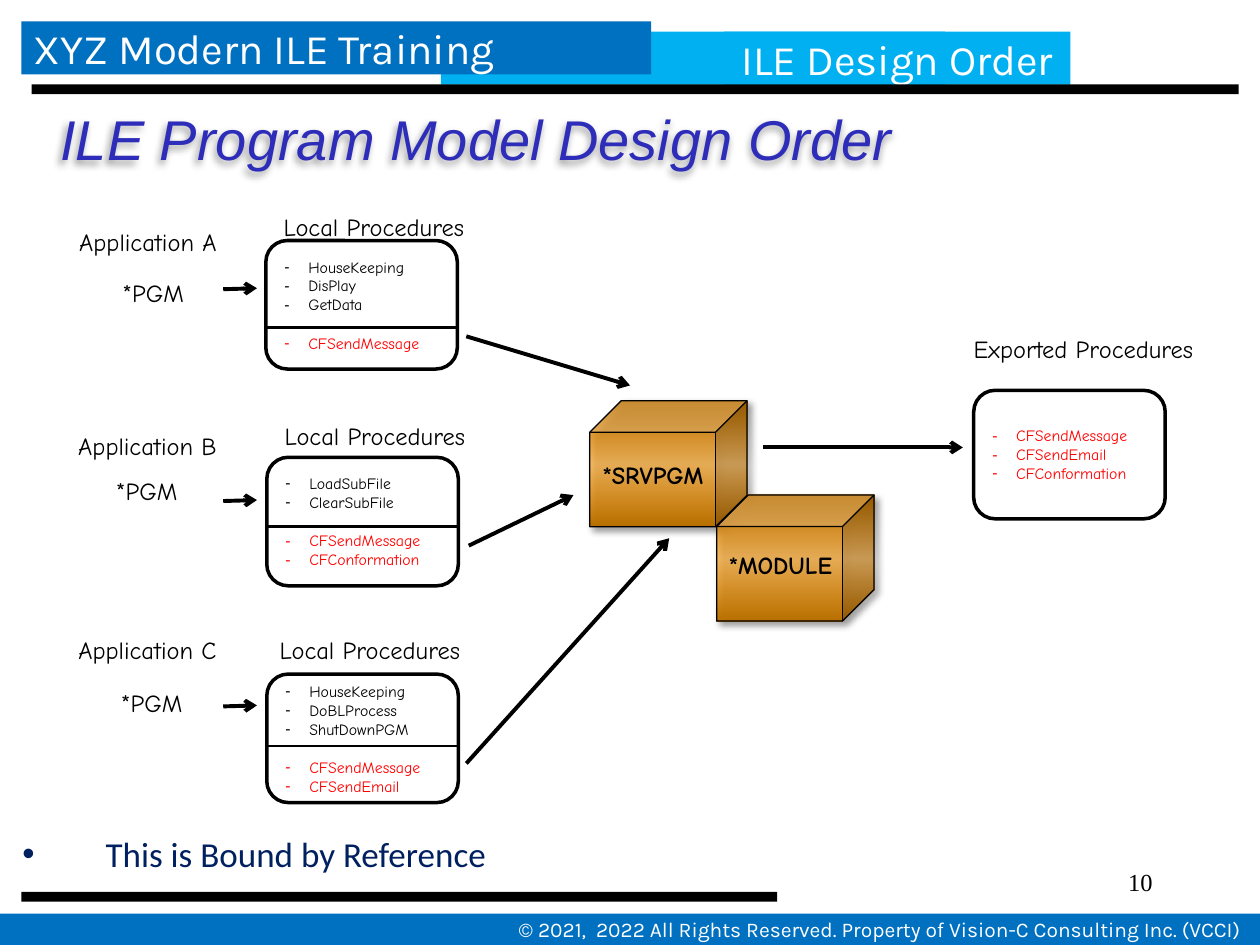
from lxml import etree
from pptx import Presentation
from pptx.dml.color import RGBColor
from pptx.enum.shapes import MSO_CONNECTOR as CONN, MSO_SHAPE as SHAPE
from pptx.enum.text import MSO_ANCHOR as ANCHOR, MSO_AUTO_SIZE as AUTO, PP_ALIGN as ALIGN
from pptx.oxml import parse_xml
from pptx.oxml.ns import nsdecls, qn
from pptx.util import Cm, Pt

# Content: lengths in cm, positions as left, top, width, height
BLACK, WHITE, RED = "000000", "FFFFFF", "FF0000"
BLUE, CYAN, NAVY, TITLE = "0070C0", "00B0F0", "002060", "2D2DB9"
HAND = "Comic Neue"

BARS = [  # position, fill, text, size, alignment
    ((0, 18.42, 25.4, 0.63), BLUE,
     "© 2021,  2022 All Rights Reserved. Property of Vision-C Consulting Inc. (VCCI)", 12, ALIGN.RIGHT),
    ((0.43, 17.98, 15.24, 0.2), BLACK, "", 12, ALIGN.LEFT),
    ((8.89, 0.64, 10.16, 1.07), CYAN, "", 24, ALIGN.LEFT),
    ((0.43, 0.43, 12.7, 1.07), BLUE, "XYZ Modern ILE Training", 24, ALIGN.LEFT),
    ((14.6, 0.64, 6.98, 1.07), CYAN, "ILE Design Order", 24, ALIGN.CENTER),
    ((0.64, 1.7, 24.33, 0.2), BLACK, "", 12, ALIGN.LEFT),
]
APPS = [  # local and shared procedures, label places, divider height
    dict(name="Application A", local=["HouseKeeping", "DisPlay", "GetData"],
         shared=["CFSendMessage"], box=(5.36, 4.85), heading=(5.16, 4.14),
         pgm=(2.16, 5.49), arrow=5.83, divider=6.6),
    dict(name="Application B", local=["LoadSubFile", "ClearSubFile"],
         shared=["CFSendMessage", "CFConformation"], box=(5.38, 9.22), heading=(5.18, 8.36),
         pgm=(2.03, 9.47), arrow=10.1, divider=10.62),
    dict(name="Application C", local=["HouseKeeping", "DoBLProcess", "ShutDownPGM"],
         shared=["CFSendMessage", "CFSendEmail"], box=(5.38, 13.59), heading=(5.08, 12.67),
         pgm=(2.13, 13.74), arrow=14.24, divider=15.04),
]
EXPORTED = ["CFSendMessage", "CFSendEmail", "CFConformation"]
CUBES = [  # cube corner, label, label position
    ((11.89, 8.08), "*SRVPGM", (11.64, 9.14, 3.05, 0.86)),
    ((14.45, 9.98), "*MODULE", (14.16, 10.97, 3.15, 0.86)),
]
FLOWS = [(15.39, 9.02, 19.41, 9.02), (9.4, 6.78, 12.7, 7.77),
         (9.4, 15.39, 13.49, 10.85), (9.45, 11, 11.56, 9.98)]
BOX_W, BOX_H = 3.86, 2.59
APP_TOP, APP_STEP = 4.45, 4.11

prs = Presentation()
prs.slide_width, prs.slide_height = Cm(25.4), Cm(19.05)
shapes = prs.slides.add_slide(prs.slide_layouts[6]).shapes


def rgb(value):
    return RGBColor.from_string(value)


def add_run(p, text, size, font, color, bold=False, italic=False):
    r = p.add_run()
    r.text = text
    r.font.size, r.font.name = Pt(size), font
    r.font.bold, r.font.italic = bold, italic
    r.font.color.rgb = rgb(color)


def add_bullet(p, char, indent):
    pPr = p._p.get_or_add_pPr()
    pPr.set("marL", str(Cm(indent)))
    pPr.set("indent", str(-Cm(indent)))
    etree.SubElement(pPr, qn("a:buFont")).set("typeface", "Arial")
    etree.SubElement(pPr, qn("a:buChar")).set("char", char)


def add_text(pos, text, size=14, font=HAND, color=BLACK, align=ALIGN.RIGHT, wrap=False, **style):
    s = shapes.add_textbox(*map(Cm, pos))
    tf = s.text_frame
    tf.word_wrap = wrap
    tf.auto_size = AUTO.NONE if wrap else AUTO.SHAPE_TO_FIT_TEXT
    p = tf.paragraphs[0]
    p.alignment = align
    add_run(p, text, size, font, color, **style)
    return s


def add_block(kind, pos, fill, line=None, width=0.75):
    s = shapes.add_shape(kind, *map(Cm, pos))
    s.shadow.inherit = False
    if fill:
        s.fill.solid()
        s.fill.fore_color.rgb = rgb(fill)
    if line:
        s.line.color.rgb = rgb(line)
        s.line.width = Pt(width)
    else:
        s.line.fill.background()
    return s


def add_line(x1, y1, x2, y2, width=2.25, arrow=True):
    c = shapes.add_connector(CONN.STRAIGHT, Cm(x1), Cm(y1), Cm(x2), Cm(y2))
    c.line.color.rgb = rgb(BLACK)
    c.line.width = Pt(width)
    if arrow:
        etree.SubElement(c.line._get_or_add_ln(), qn("a:tailEnd")).set("type", "arrow")
    etree.SubElement(c._element.spPr, qn("a:effectLst"))


def add_shadow(s, angle):
    spPr = s._element.spPr
    for old in spPr.findall(qn("a:effectLst")):
        spPr.remove(old)
    spPr.append(parse_xml(
        f'<a:effectLst {nsdecls("a")}><a:outerShdw blurRad="{Pt(4)}" dist="{Pt(3)}" '
        f'dir="{angle * 60000}" algn="tl" rotWithShape="0"><a:srgbClr val="{BLACK}">'
        '<a:alpha val="40000"/></a:srgbClr></a:outerShdw></a:effectLst>'))


def add_procedures(left, top, local, shared):
    s = add_block(SHAPE.ROUNDED_RECTANGLE, (left, top, BOX_W, BOX_H), WHITE, BLACK, 2)
    tf = s.text_frame
    tf.word_wrap, tf.vertical_anchor = True, ANCHOR.MIDDLE
    for i, name in enumerate(local + shared):
        p = tf.paragraphs[0] if i == 0 else tf.add_paragraph()
        p.alignment = ALIGN.LEFT
        if local and i == len(local):
            p.space_before = Pt(11)
        add_bullet(p, "-", 0.48)
        add_run(p, name, 9, HAND, BLACK if i < len(local) else RED)


def add_cube(left, top):
    s = add_block(SHAPE.CUBE, (left, top, 3.17, 2.54), None, BLACK)
    s.fill.gradient()
    s.fill.gradient_angle = 270
    stops = s._element.spPr.find(qn("a:gradFill")).find(qn("a:gsLst"))
    for old in list(stops):
        stops.remove(old)
    for place, color, alpha in [(0, "B86F00", 100), (50, "FF9900", 56), (100, "B86F00", 100)]:
        stops.append(parse_xml(
            f'<a:gs {nsdecls("a")} pos="{place * 1000}"><a:srgbClr val="{color}">'
            f'<a:alpha val="{alpha * 1000}"/></a:srgbClr></a:gs>'))
    add_shadow(s, 45)


# Header and footer
for pos, fill, text, size, align in BARS:
    s = add_block(SHAPE.RECTANGLE, pos, fill)
    if text:
        tf = s.text_frame
        tf.word_wrap, tf.vertical_anchor = False, ANCHOR.MIDDLE
        if align == ALIGN.RIGHT:
            tf.margin_right = Cm(0.38)
        tf.paragraphs[0].alignment = align
        add_run(tf.paragraphs[0], text, size, "Karla", WHITE)
add_text((18.21, 17.35, 5.28, 1.27), "10", font="Times New Roman", wrap=True)

# Title and remark
title = add_text((0.97, 1.96, 17.4, 1.63), "ILE Program Model Design Order", 32, "Arial",
                 TITLE, ALIGN.LEFT, italic=True)
title.text_frame.vertical_anchor = ANCHOR.MIDDLE
add_shadow(title, 135)
remark = add_text((0.2, 16.66, 24.33, 1.12), "This is Bound by Reference", 20, "Calibri",
                  NAVY, ALIGN.LEFT, wrap=True)
add_bullet(remark.text_frame.paragraphs[0], "•", 1.68)

# Service program and module
for corner, label, pos in CUBES:
    add_cube(*corner)
    add_text(pos, label, align=ALIGN.CENTER, bold=True)

# Applications with their procedures
for i, app in enumerate(APPS):
    left, top = app["box"]
    add_text((1.02, APP_TOP + i * APP_STEP, 3.6, 0.86), app["name"])
    add_text((*app["heading"], 4.45, 0.86), "Local Procedures")
    add_text((*app["pgm"], 1.8, 0.86), "*PGM")
    add_procedures(left, top, app["local"], app["shared"])
    add_line(left, app["divider"], left + BOX_W, app["divider"], 1.5, arrow=False)
    add_line(4.5, app["arrow"], 5.18, app["arrow"] - 0.02)

# Exported procedures and flows
add_text((18.87, 6.6, 5.44, 0.86), "Exported Procedures")
add_procedures(19.63, 7.87, [], EXPORTED)
for flow in FLOWS:
    add_line(*flow)

prs.save("out.pptx")
